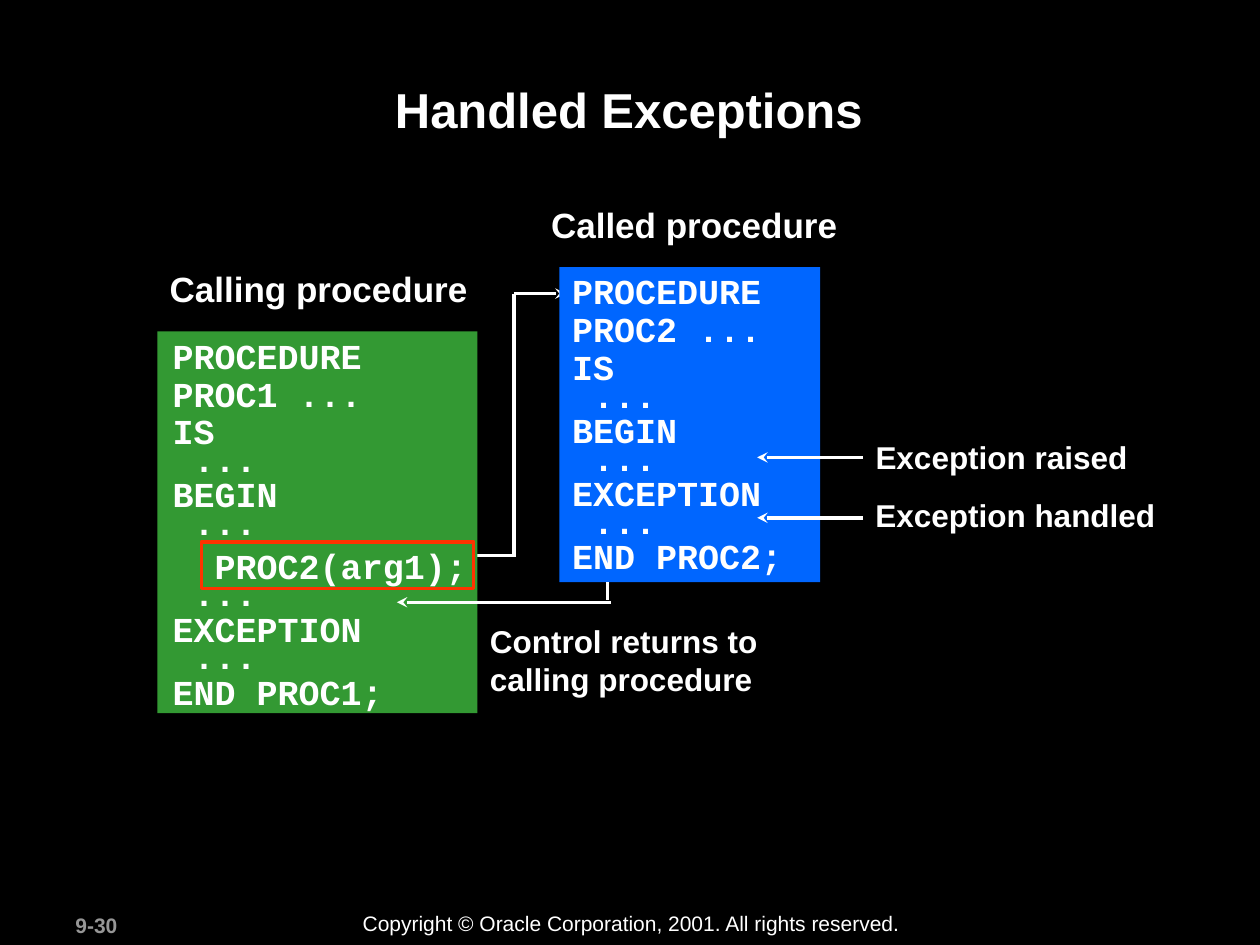
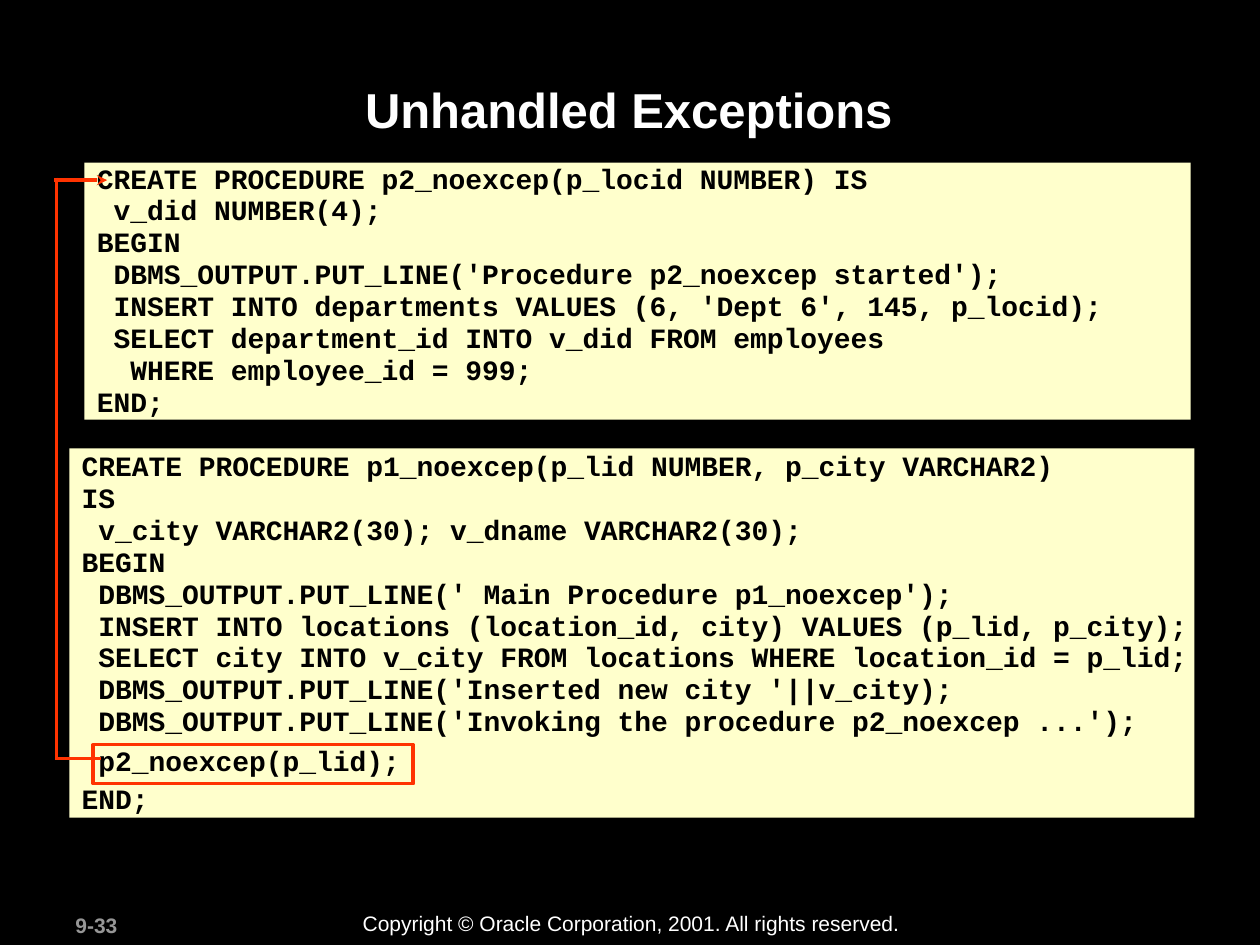
from dataclasses import dataclass, field

from lxml import etree
from pptx import Presentation
from pptx.dml.color import RGBColor
from pptx.enum.shapes import MSO_CONNECTOR, MSO_SHAPE
from pptx.enum.text import MSO_ANCHOR, MSO_AUTO_SIZE, PP_ALIGN
from pptx.oxml.ns import qn
from pptx.shapes.autoshape import Shape
from pptx.slide import Slide
from pptx.text.text import TextFrame
from pptx.util import Inches, Pt

COLORS = {
    "background": "000000",
    "text": "FFFFFF",
    "number": "969696",
    "calling": "339933",
    "called": "0066FF",
    "code_panel": "FFFFCC",
    "code_text": "000000",
    "highlight": "FF3300",
}
HEADING_FONT = "Arial"
CODE_FONT = "Courier New"
LINE_WIDTH = Pt(2)


@dataclass(frozen=True)
class Box:
    left: float
    top: float
    width: float
    height: float

    def lengths(self) -> list[int]:
        return [Inches(side) for side in (self.left, self.top, self.width, self.height)]


@dataclass(frozen=True)
class TextStyle:
    size: float
    color: str = "text"
    bold: bool = True
    font: str = HEADING_FONT
    align: PP_ALIGN = PP_ALIGN.LEFT
    spacing: float = 1.0


@dataclass(frozen=True)
class Label:
    text: str
    box: Box
    style: TextStyle


@dataclass(frozen=True)
class Line:
    start: tuple[float, float]
    end: tuple[float, float]
    color: str = "text"
    arrow: bool = False


@dataclass(frozen=True)
class Listing:
    code: str
    box: Box
    style: TextStyle
    spacings: dict[str, float] = field(default_factory=dict)


TITLE = TextStyle(28, align=PP_ALIGN.CENTER)
HEADING = TextStyle(20, align=PP_ALIGN.CENTER, spacing=0.95)
CALLOUT = TextStyle(18)
NUMBER = TextStyle(12, color="number")
COPYRIGHT = TextStyle(12, bold=False)
DIAGRAM_CODE = TextStyle(20, font=CODE_FONT, spacing=0.9)
PANEL_CODE = TextStyle(16, color="code_text", font=CODE_FONT, spacing=0.95)
DIAGRAM_SPACINGS = {" ...": 0.6, "  PROC2(arg1);": 1.1}

CALLING_LISTING = Listing(
    """PROCEDURE
PROC1 ...
IS
 ...
BEGIN
 ...
  PROC2(arg1);
 ...
EXCEPTION
 ...
END PROC1;""",
    Box(1.29, 2.65, 2.5, 3.05),
    DIAGRAM_CODE,
    DIAGRAM_SPACINGS,
)
CALLED_LISTING = Listing(
    """PROCEDURE
PROC2 ...
IS
 ...
BEGIN
 ...
EXCEPTION
 ...
END PROC2;""",
    Box(4.46, 2.14, 1.83, 2.48),
    DIAGRAM_CODE,
    DIAGRAM_SPACINGS,
)
P2_LISTING = Listing(
    """CREATE PROCEDURE p2_noexcep(p_locid NUMBER) IS
 v_did NUMBER(4);
BEGIN
 DBMS_OUTPUT.PUT_LINE('Procedure p2_noexcep started');
 INSERT INTO departments VALUES (6, 'Dept 6', 145, p_locid);
 SELECT department_id INTO v_did FROM employees
  WHERE employee_id = 999;
END;""",
    Box(0.67, 1.29, 8.78, 2.04),
    PANEL_CODE,
)
P1_LISTING = Listing(
    """CREATE PROCEDURE p1_noexcep(p_lid NUMBER, p_city VARCHAR2)
IS
 v_city VARCHAR2(30); v_dname VARCHAR2(30);
BEGIN
 DBMS_OUTPUT.PUT_LINE(' Main Procedure p1_noexcep');
 INSERT INTO locations (location_id, city) VALUES (p_lid, p_city);
 SELECT city INTO v_city FROM locations WHERE location_id = p_lid;
 DBMS_OUTPUT.PUT_LINE('Inserted new city '||v_city);
 DBMS_OUTPUT.PUT_LINE('Invoking the procedure p2_noexcep ...');
 p2_noexcep(p_lid);
END;""",
    Box(0.55, 3.56, 8.93, 2.93),
    PANEL_CODE,
    {" p2_noexcep(p_lid);": 1.15, "END;": 1.15},
)


def rgb(name: str) -> RGBColor:
    return RGBColor.from_string(COLORS[name])


def write_lines(frame: TextFrame, text: str, style: TextStyle,
                spacings: dict[str, float] | None = None) -> None:
    for index, content in enumerate(text.split("\n")):
        paragraph = frame.add_paragraph() if index else frame.paragraphs[0]
        paragraph.alignment = style.align
        paragraph.line_spacing = (spacings or {}).get(content, style.spacing)
        run = paragraph.add_run()
        run.text = content
        run.font.name = style.font
        run.font.size = Pt(style.size)
        run.font.bold = style.bold
        run.font.color.rgb = rgb(style.color)


def draw_label(slide: Slide, label: Label) -> None:
    frame = slide.shapes.add_textbox(*label.box.lengths()).text_frame
    frame.word_wrap = True
    write_lines(frame, label.text, label.style)


def draw_rectangle(slide: Slide, box: Box, fill: str | None = None,
                   outline: str | None = None) -> Shape:
    shape = slide.shapes.add_shape(MSO_SHAPE.RECTANGLE, *box.lengths())
    shape.shadow.inherit = False
    if fill:
        shape.fill.solid()
        shape.fill.fore_color.rgb = rgb(fill)
    else:
        shape.fill.background()
    if outline:
        shape.line.color.rgb = rgb(outline)
        shape.line.width = LINE_WIDTH
    else:
        shape.line.fill.background()
    return shape


def draw_diagram_code(slide: Slide, listing: Listing) -> None:
    frame = slide.shapes.add_textbox(*listing.box.lengths()).text_frame
    frame.word_wrap = False
    frame.auto_size = MSO_AUTO_SIZE.SHAPE_TO_FIT_TEXT
    frame.margin_left = frame.margin_right = Inches(0.08)
    frame.margin_top = frame.margin_bottom = Inches(0.04)
    write_lines(frame, listing.code, listing.style, listing.spacings)


def draw_code_panel(slide: Slide, listing: Listing) -> None:
    frame = draw_rectangle(slide, listing.box, fill="code_panel").text_frame
    frame.word_wrap = False
    frame.vertical_anchor = MSO_ANCHOR.MIDDLE
    write_lines(frame, listing.code, listing.style, listing.spacings)


def draw_line(slide: Slide, line: Line) -> None:
    ends = [Inches(value) for value in (*line.start, *line.end)]
    connector = slide.shapes.add_connector(MSO_CONNECTOR.STRAIGHT, *ends)
    connector.line.color.rgb = rgb(line.color)
    connector.line.width = LINE_WIDTH
    if line.arrow:
        etree.SubElement(connector.line._get_or_add_ln(), qn("a:tailEnd"), type="stealth")
    etree.SubElement(connector._element.spPr, qn("a:effectLst"))


def add_titled_slide(presentation: Presentation, title: str, number: str) -> Slide:
    slide = presentation.slides.add_slide(presentation.slide_layouts[6])
    for label in (
        Label(number, Box(0.5, 7.19, 1.05, 0.3), NUMBER),
        Label("Copyright © Oracle Corporation, 2001. All rights reserved.",
              Box(2.78, 7.18, 4.48, 0.3), COPYRIGHT),
        Label(title, Box(0.94, 0.58, 8.1, 0.96), TITLE),
    ):
        draw_label(slide, label)
    return slide


def build_handled(presentation: Presentation) -> None:
    slide = add_titled_slide(presentation, "Handled Exceptions", "9-30")
    for line in (
        Line((3.74, 4.41), (4.09, 4.41)),
        Line((4.08, 2.33), (4.49, 2.33), arrow=True),
        Line((4.08, 2.33), (4.08, 4.42)),
    ):
        draw_line(slide, line)

    draw_rectangle(slide, Box(4.44, 2.12, 2.07, 2.5), fill="called")
    draw_diagram_code(slide, CALLED_LISTING)
    draw_rectangle(slide, Box(1.25, 2.63, 2.54, 3.03), fill="calling")
    draw_diagram_code(slide, CALLING_LISTING)

    for label in (
        Label("Called procedure", Box(3.89, 1.59, 3.24, 0.42), HEADING),
        Label("Calling procedure", Box(1.03, 2.1, 3, 0.42), HEADING),
        Label("Exception raised", Box(6.85, 3.43, 2.45, 0.4), CALLOUT),
        Label("Exception handled", Box(6.85, 3.89, 2.84, 0.4), CALLOUT),
        Label("Control returns to calling procedure", Box(3.79, 4.89, 2.43, 0.7), CALLOUT),
    ):
        draw_label(slide, label)

    for line in (
        Line((6.85, 3.63), (6.01, 3.63), arrow=True),
        Line((6.85, 4.11), (6.01, 4.11), arrow=True),
        Line((4.85, 4.78), (3.15, 4.78), arrow=True),
        Line((4.82, 4.62), (4.82, 4.76)),
    ):
        draw_line(slide, line)
    draw_rectangle(slide, Box(1.6, 4.3, 2.16, 0.37), outline="highlight")


def build_unhandled(presentation: Presentation) -> None:
    slide = add_titled_slide(presentation, "Unhandled Exceptions", "9-33")
    for listing in (P2_LISTING, P1_LISTING):
        draw_code_panel(slide, listing)
    draw_rectangle(slide, Box(0.74, 5.91, 2.54, 0.31), outline="highlight")
    for line in (
        Line((0.44, 6.02), (0.63, 6.02), "highlight"),
        Line((0.43, 1.43), (0.85, 1.43), "highlight", arrow=True),
        Line((0.45, 1.41), (0.45, 6.01), "highlight"),
        Line((0.61, 6.02), (0.8, 6.02), "highlight"),
    ):
        draw_line(slide, line)


def main() -> None:
    presentation = Presentation()
    presentation.slide_width = Inches(10)
    presentation.slide_height = Inches(7.5)
    background = presentation.slide_master.background.fill
    background.solid()
    background.fore_color.rgb = rgb("background")
    build_handled(presentation)
    build_unhandled(presentation)
    presentation.save("out.pptx")


if __name__ == "__main__":
    main()
